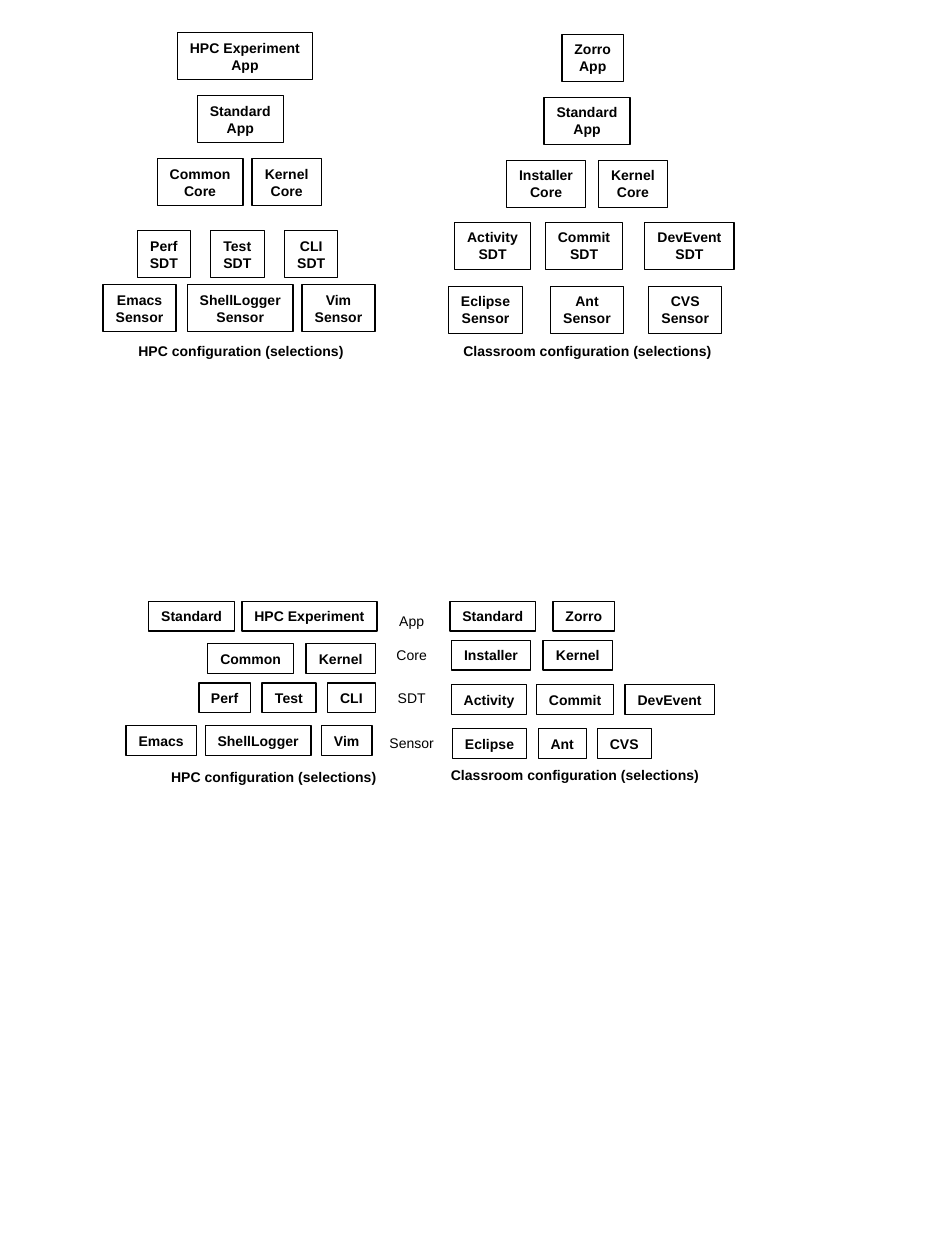
from pptx import Presentation
from pptx.dml.color import RGBColor
from pptx.enum.shapes import MSO_SHAPE
from pptx.enum.text import MSO_ANCHOR, MSO_AUTO_SIZE, PP_ALIGN
from pptx.util import Cm, Pt

RECTANGLE = MSO_SHAPE.RECTANGLE
CENTER, LEFT = PP_ALIGN.CENTER, PP_ALIGN.LEFT
MIDDLE, TOP = MSO_ANCHOR.MIDDLE, MSO_ANCHOR.TOP
FIXED_SIZE = MSO_AUTO_SIZE.NONE

COLORS = {"ink": "000000"}
INK = RGBColor.from_string(COLORS["ink"])
FONT = {"name": "Arial", "size": Pt(8)}
# Side margins leave slack, so that each name stays on one line.
MARGINS = {CENTER: (Cm(0.1), Cm(0.1)), LEFT: (Cm(0.25), Cm(0))}

# All lengths below are centimetres.
ONE_LINE, TWO_LINES = 0.6, 0.95
MODULE_WIDTHS = {
    "HPC Experiment": 2.72, "Standard": 1.73, "Zorro": 1.24,
    "Common": 1.73, "Kernel": 1.4, "Installer": 1.6,
    "Perf": 1.04, "Test": 1.09, "CLI": 0.97,
    "Activity": 1.52, "Commit": 1.55, "DevEvent": 1.8,
    "Emacs": 1.42, "ShellLogger": 2.13, "Vim": 1.02,
    "Eclipse": 1.5, "Ant": 0.97, "CVS": 1.09,
}
LAYER_WIDTHS = {"App": 1.02, "Core": 1.12, "SDT": 1.07, "Sensor": 1.47}
HPC_CAPTION = ("HPC configuration (selections)", 4.65)
CLASSROOM_CAPTION = ("Classroom configuration (selections)", 5.51)

# Each row: layer, offset from the top, modules with their offset from the left.
HPC_STACK = [
    ("App", 0, {"HPC Experiment": 1.5}),
    ("App", 1.27, {"Standard": 1.9}),
    ("Core", 2.54, {"Common": 1.09, "Kernel": 3.0}),
    ("SDT", 3.99, {"Perf": 0.69, "Test": 2.16, "CLI": 3.66}),
    ("Sensor", 5.08, {"Emacs": 0, "ShellLogger": 1.7, "Vim": 4.01}),
]
CLASSROOM_STACK = [
    ("App", 0, {"Zorro": 2.29}),
    ("App", 1.27, {"Standard": 1.93}),
    ("Core", 2.54, {"Installer": 1.17, "Kernel": 3.02}),
    ("SDT", 3.79, {"Activity": 0.13, "Commit": 1.96, "DevEvent": 3.96}),
    ("Sensor", 5.08, {"Eclipse": 0, "Ant": 2.06, "CVS": 4.04}),
]
HPC_ROWS = [
    ("App", 0, {"Standard": 0.46, "HPC Experiment": 2.34}),
    ("Core", 0.86, {"Common": 1.65, "Kernel": 3.63}),
    ("SDT", 1.65, {"Perf": 1.47, "Test": 2.74, "CLI": 4.06}),
    ("Sensor", 2.51, {"Emacs": 0, "ShellLogger": 1.6, "Vim": 3.94}),
]
CLASSROOM_ROWS = [
    ("App", 0, {"Standard": 0, "Zorro": 2.08}),
    ("Core", 0.79, {"Installer": 0.03, "Kernel": 1.88}),
    ("SDT", 1.68, {"Activity": 0.03, "Commit": 1.75, "DevEvent": 3.53}),
    ("Sensor", 2.57, {"Eclipse": 0.05, "Ant": 1.78, "CVS": 2.97}),
]
LAYER_TOPS = {"App": 0.1, "Core": 0.79, "SDT": 1.65, "Sensor": 2.57}


def write(shape, text, align, anchor, bold):
    frame = shape.text_frame
    margin_left, margin_right = MARGINS[align]
    settings = {"word_wrap": False, "auto_size": FIXED_SIZE, "vertical_anchor": anchor,
                "margin_left": margin_left, "margin_right": margin_right}
    for attribute, value in settings.items():
        setattr(frame, attribute, value)
    paragraph = frame.paragraphs[0]
    paragraph.text = text
    paragraph.alignment = align
    for run in paragraph.runs:
        for attribute, value in {**FONT, "bold": bold}.items():
            setattr(run.font, attribute, value)
        run.font.color.rgb = INK


def add_module(slide, left, top, width, height, text):
    module = slide.shapes.add_shape(RECTANGLE, Cm(left), Cm(top), Cm(width), Cm(height))
    module.shadow.inherit = False
    module.fill.background()
    module.line.color.rgb = INK
    module.line.width = Pt(0.75)
    write(module, text, CENTER, MIDDLE, True)


def add_label(slide, left, top, width, text, align=LEFT, bold=True):
    label = slide.shapes.add_textbox(Cm(left), Cm(top), Cm(width), Cm(ONE_LINE))
    write(label, text, align, TOP, bold)


def add_configuration(slide, left, top, rows, caption, caption_at, name_layers):
    """Rows of modules over a caption; name_layers puts the layer in each module."""
    for layer, row_top, modules in rows:
        for module, offset in modules.items():
            text, width, height = module, MODULE_WIDTHS[module], ONE_LINE
            if name_layers:
                text = f"{module}\n{layer}"
                width = max(width, LAYER_WIDTHS[layer])
                height = TWO_LINES
            add_module(slide, left + offset, top + row_top, width, height, text)
    text, width = caption
    add_label(slide, left + caption_at[0], top + caption_at[1], width, text)


def add_layer_names(slide, left, top, column_width):
    for layer, offset in LAYER_TOPS.items():
        add_label(slide, left, top + offset, column_width, layer, CENTER, False)


def main():
    presentation = Presentation()
    presentation.slide_width, presentation.slide_height = Cm(19.05), Cm(25.4)
    slide = presentation.slides.add_slide(presentation.slide_layouts[6])
    add_configuration(slide, 2.08, 0.66, HPC_STACK, HPC_CAPTION, (0.46, 6.12), True)
    add_configuration(slide, 9.04, 0.69, CLASSROOM_STACK, CLASSROOM_CAPTION,
                      (0.05, 6.1), True)
    add_configuration(slide, 2.54, 12.12, HPC_ROWS, HPC_CAPTION, (0.66, 3.25), False)
    add_configuration(slide, 9.07, 12.12, CLASSROOM_ROWS, CLASSROOM_CAPTION,
                      (-0.23, 3.2), False)
    add_layer_names(slide, 7.6, 12.12, 1.4)
    presentation.save("out.pptx")


if __name__ == "__main__":
    main()
